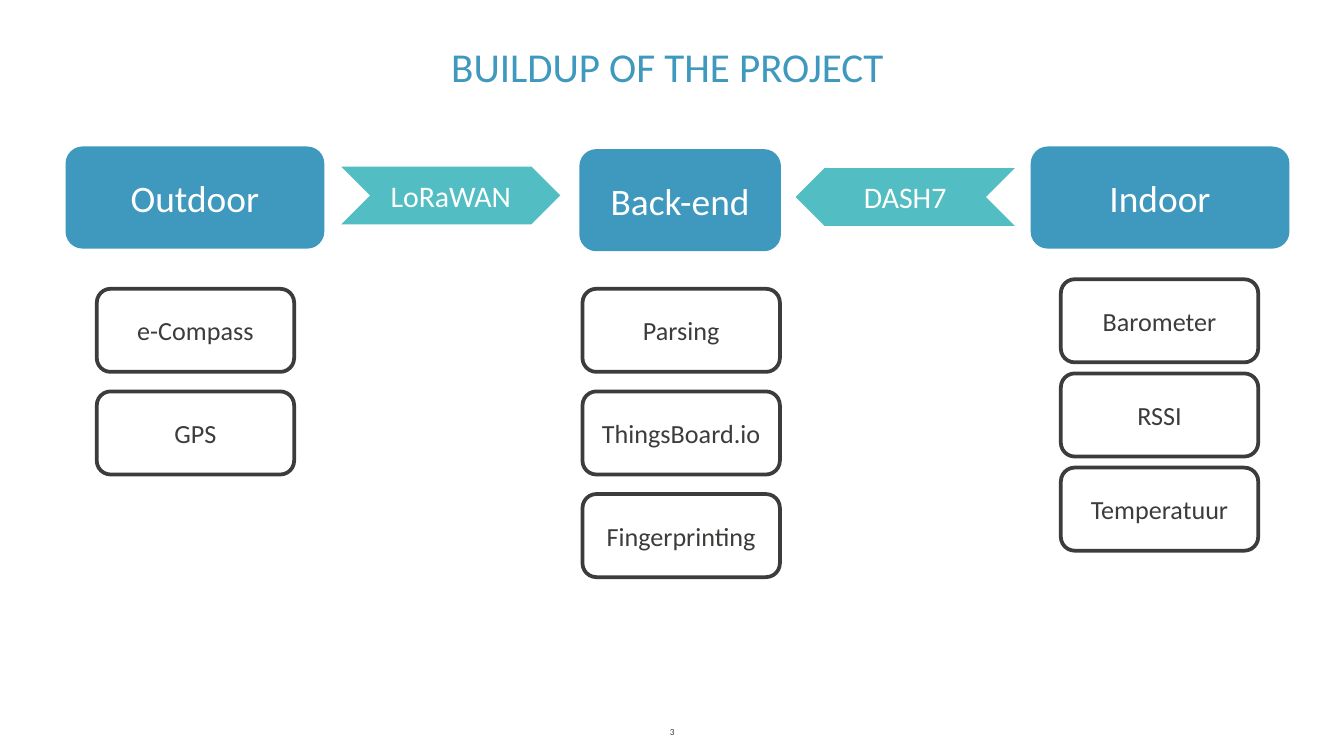
from pptx import Presentation
from pptx.dml.color import RGBColor
from pptx.enum import shapes, text
from pptx.util import Cm, Pt

BLUE = RGBColor(0x3F, 0x98, 0xBD)
TEAL = RGBColor(0x52, 0xBD, 0xC2)
DARK = RGBColor(0x3C, 0x3C, 0x3B)
WHITE = RGBColor(0xFF, 0xFF, 0xFF)

CARD_WIDTH, CARD_HEIGHT = 3.73, 1.57
HEAD_HEIGHT = 1.93

# heading, left, top, width, first card left and top, card pitch, card labels
COLUMNS = [
    ("Outdoor", 1.24, 2.77, 4.89, 1.83, 5.46, 1.94, ["e-Compass", "GPS"]),
    ("Back-end", 10.95, 2.82, 3.81, 11.01, 5.46, 1.94,
     ["Parsing", "ThingsBoard.io", "Fingerprinting"]),
    ("Indoor", 19.48, 2.77, 4.89, 20.05, 5.28, 1.78,
     ["Barometer", "RSSI", "Temperatuur"]),
]


def place(shape, left, top, width, height):
    """Move and size a shape, in centimetres."""
    shape.left, shape.top = Cm(left), Cm(top)
    shape.width, shape.height = Cm(width), Cm(height)


def write(shape, words, size, color, anchor=text.MSO_ANCHOR.MIDDLE):
    """Put one centred line of text in a shape."""
    frame = shape.text_frame
    frame.text = words
    frame.word_wrap = True
    frame.vertical_anchor = anchor
    para = frame.paragraphs[0]
    para.alignment = text.PP_ALIGN.CENTER
    font = para.runs[0].font
    font.name, font.size = "Calibri", Pt(size)
    font.color.rgb = color


def add_block(page, kind, bounds, fill, words, size, color):
    """Add a filled, unlined preset shape with a label."""
    block = page.shapes.add_shape(kind, *map(Cm, bounds))
    block.shadow.inherit = False
    block.fill.solid()
    block.fill.fore_color.rgb = fill
    block.line.fill.background()
    write(block, words, size, color)
    return block


def add_card(page, left, top, words):
    """Add a white outlined card."""
    card = add_block(page, shapes.MSO_SHAPE.ROUNDED_RECTANGLE,
                     (left, top, CARD_WIDTH, CARD_HEIGHT), WHITE, words, 14, DARK)
    card.line.color.rgb = DARK
    card.line.width = Pt(2)


def add_column(page, heading, left, top, width, card_left, card_top, pitch, labels):
    """Add a heading block and the cards below it."""
    add_block(page, shapes.MSO_SHAPE.ROUNDED_RECTANGLE,
              (left, top, width, HEAD_HEIGHT), BLUE, heading, 20, WHITE)
    for row, label in enumerate(labels):
        add_card(page, card_left, card_top + row * pitch, label)


def add_protocol(page, left, top, words, flipped=False):
    """Add a chevron that points towards the back-end."""
    chevron = add_block(page, shapes.MSO_SHAPE.CHEVRON,
                        (left, top, 4.14, 1.09), TEAL, words, 16, WHITE)
    chevron.text_frame.margin_left = chevron.text_frame.margin_right = 0
    if flipped:
        chevron._element.spPr.xfrm.set("flipH", "1")


def main():
    """Build the slide and save the deck."""
    deck = Presentation()
    deck.slide_width, deck.slide_height = Cm(25.4), Cm(14.29)
    page = deck.slides.add_slide(deck.slide_layouts[5])

    title = page.shapes.title
    place(title, 0.46, 0.66, 24.31, 1.19)
    write(title, "BUILDUP OF THE PROJECT", 22, BLUE, text.MSO_ANCHOR.BOTTOM)

    for column in COLUMNS:
        add_column(page, *column)
    add_protocol(page, 6.45, 3.15, "LoRaWAN")
    add_protocol(page, 15.04, 3.18, "DASH7", flipped=True)

    number = page.shapes.add_textbox(Cm(11.51), Cm(13.59), Cm(2.39), Cm(0.48))
    write(number, "3", 5, DARK)

    deck.save("out.pptx")


if __name__ == "__main__":
    main()
